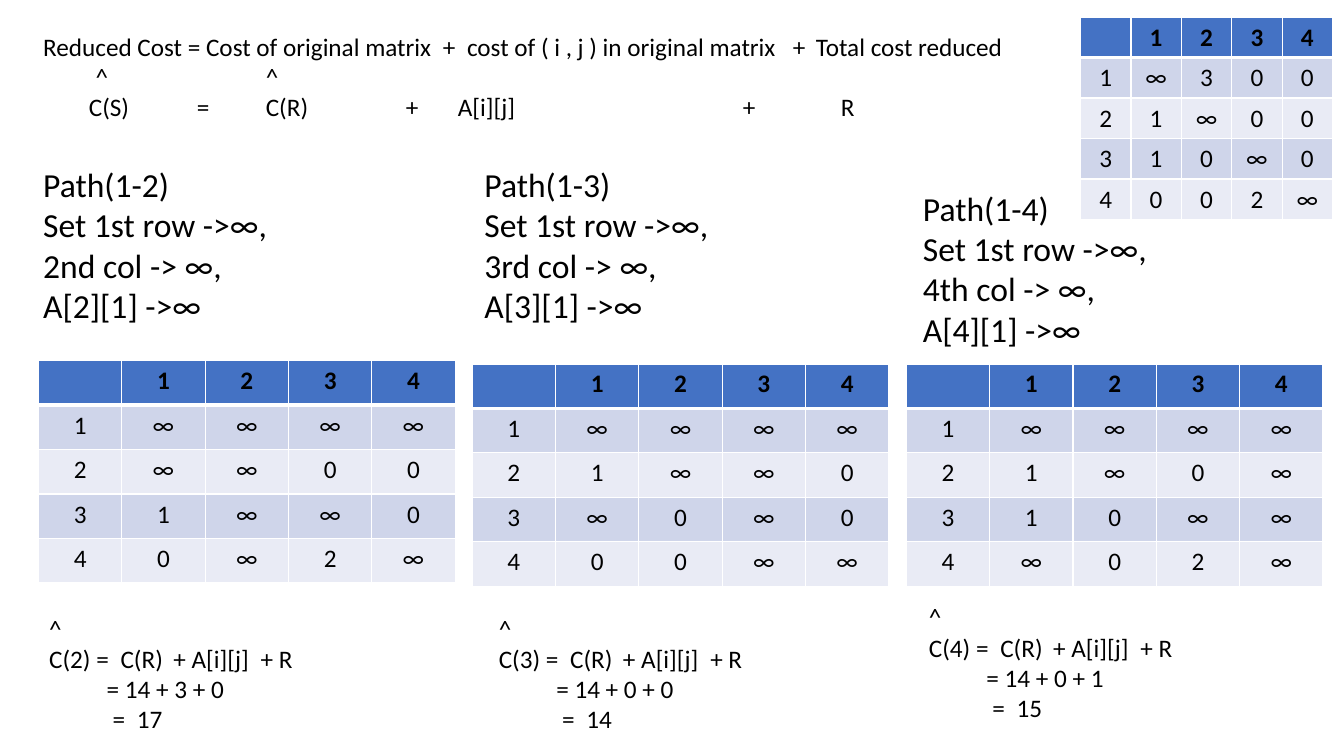
from lxml import etree
from pptx import Presentation
from pptx.dml.color import RGBColor
from pptx.enum.text import PP_ALIGN
from pptx.oxml.ns import qn
from pptx.util import Cm, Pt

FONT = "Calibri"
BLACK = RGBColor(0x00, 0x00, 0x00)
WHITE = RGBColor(0xFF, 0xFF, 0xFF)
BLUE = RGBColor(0x44, 0x72, 0xC4)
BANDS = RGBColor(0xCF, 0xD5, 0xEA), RGBColor(0xE9, 0xEB, 0xF5)

# Content: each text line is (text, tab stops in cm)
FORMULA = [
    ("Reduced Cost = Cost of original matrix\t+\tcost of ( i , j )\tin original matrix"
     "\t+\tTotal cost reduced", (10.07, 10.68, 14.1, 18.89, 19.47)),
    ("\t^\t^", (1.32, 5.61)),
    ("\tC(S)\t=\tC(R)\t+\tA[i][j]\t+\tR", (1.15, 3.87, 5.61, 9.14, 10.45, 17.63, 20.1)),
]
REDUCED = ["∞300", "1∞00", "10∞0", "002∞"]

# Branches: node, ordinal, matrix rows, edge cost, reduction, total,
# then (left, top) in cm of path text, matrix and result
BRANCHES = [
    (2, "2nd", ["∞∞∞∞", "∞∞00", "1∞∞0", "0∞2∞"], 3, 0, 17,
     (0.84, 4.01), (0.97, 9.09), (0.99, 15.32)),
    (3, "3rd", ["∞∞∞∞", "1∞∞0", "∞0∞0", "00∞∞"], 0, 0, 14,
     (11.96, 4.01), (11.9, 9.17), (12.32, 15.32)),
    (4, "4th", ["∞∞∞∞", "1∞0∞", "10∞∞", "∞02∞"], 0, 1, 15,
     (23.01, 4.6), (22.84, 9.17), (23.16, 15.04)),
]


def style(p, size, bold=False):
    p.font.name = FONT
    p.font.size = Pt(size)
    p.font.bold = bold
    p.font.color.rgb = BLACK


def add_text(s, at, width, height, lines, size):
    tf = s.shapes.add_textbox(Cm(at[0]), Cm(at[1]), Cm(width), Cm(height)).text_frame
    tf.word_wrap = True
    for i, (text, stops) in enumerate(lines):
        p = tf.paragraphs[0] if i == 0 else tf.add_paragraph()
        p.text = text
        if stops:
            tabs = etree.SubElement(p._p.get_or_add_pPr(), qn("a:tabLst"))
            for stop in stops:
                etree.SubElement(tabs, qn("a:tab"), pos=str(Cm(stop)), algn="l")
        style(p, size)


def add_borders(cell, widths):
    tc_pr = cell._tc.get_or_add_tcPr()
    for side, width in widths.items():
        ln = etree.SubElement(tc_pr, qn(f"a:ln{side}"), w=str(Pt(width)))
        fill = etree.SubElement(ln, qn("a:solidFill"))
        etree.SubElement(fill, qn("a:srgbClr"), val=str(WHITE))


def add_matrix(s, at, col_width, row_height, rows):
    n = len(rows) + 1
    table = s.shapes.add_table(n, n, Cm(at[0]), Cm(at[1]),
                               Cm(col_width * n), Cm(row_height * n)).table
    labels = [str(i) for i in range(1, n)]
    grid = [["", *labels]] + [[label, *row] for label, row in zip(labels, rows)]
    for i, values in enumerate(grid):
        table.columns[i].width = Cm(col_width)
        table.rows[i].height = Cm(row_height)
        for j, value in enumerate(values):
            cell = table.cell(i, j)
            add_borders(cell, {"L": 1, "R": 1, "T": 3 if i == 1 else 1,
                               "B": 3 if i == 0 else 1})
            cell.fill.solid()
            cell.fill.fore_color.rgb = BLUE if i == 0 else BANDS[(i - 1) % 2]
            p = cell.text_frame.paragraphs[0]
            p.text = value
            p.alignment = PP_ALIGN.CENTER
            style(p, 18, bold=i == 0)


def main():
    prs = Presentation()
    prs.slide_width, prs.slide_height = Cm(33.87), Cm(19.05)
    s = prs.slides.add_slide(prs.slide_layouts[6])

    # Formula and reduced matrix
    add_text(s, (0.84, 0.66), 25.02, 2.57, FORMULA, 18)
    add_matrix(s, (27.23, 0.43), 1.27, 1.02, REDUCED)

    # One column per branch
    for node, nth, rows, edge, cut, total, path_at, matrix_at, result_at in BRANCHES:
        steps = [f"Path(1-{node})", "Set 1st row ->∞,", f"{nth} col -> ∞,",
                 f"A[{node}][1] ->∞"]
        add_text(s, path_at, 7.8, 4.35, [(step, ()) for step in steps], 24)
        add_matrix(s, matrix_at, 2.1, 1.12, rows)
        result = [
            ("^", ()),
            (f"C({node}) =\tC(R)\t+ A[i][j]\t+ R", (1.8, 3.13, 5.33)),
            (f"\t= 14 + {edge} + {cut}", (1.45,)),
            (f"\t=\t{total}", (1.6, 2.21)),
        ]
        add_text(s, result_at, 7.62, 3.33, result, 18)

    prs.save("out.pptx")


if __name__ == "__main__":
    main()
